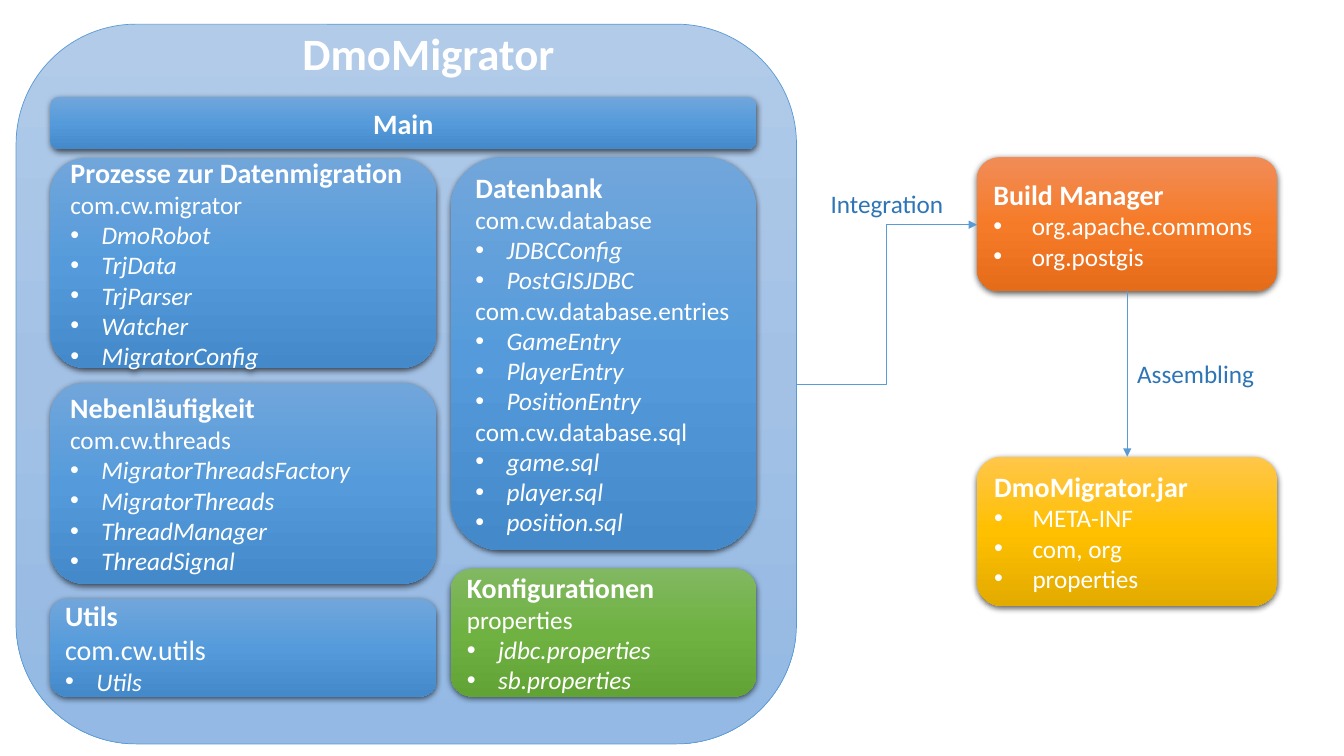
import copy

import lxml.etree
import pptx
import pptx.dml.color
import pptx.enum.shapes
import pptx.enum.text
import pptx.oxml
import pptx.oxml.ns
import pptx.util

Inches = pptx.util.Inches
Pt = pptx.util.Pt
SHAPE = pptx.enum.shapes.MSO_SHAPE
CONNECTOR = pptx.enum.shapes.MSO_CONNECTOR
ALIGN = pptx.enum.text.PP_ALIGN
ANCHOR = pptx.enum.text.MSO_ANCHOR
qn = pptx.oxml.ns.qn

COLORS = {"white": "FFFFFF", "line": "5B9BD5", "label": "2E75B6", "shadow": "000000"}
GRADIENTS = {
    "container": ("B1CBE9", "A3C1E5", "93B9E4"),
    "blue": ("71A6DB", "559BDB", "448ACA"),
    "green": ("81B861", "6FB242", "62A336"),
    "orange": ("F18C57", "F67B28", "E56C19"),
    "yellow": ("FFC64B", "FFC000", "E3AB00"),
}
SHADOW_XML = (
    '<a:outerShdw xmlns:a="http://schemas.openxmlformats.org/drawingml/2006/main" '
    'blurRad="57150" dist="19050" dir="5400000" algn="ctr" rotWithShape="0">'
    f'<a:srgbClr val="{COLORS["shadow"]}"><a:alpha val="63000"/></a:srgbClr></a:outerShdw>'
)


def add_text(shape, text, size=18, color="white", bold=False, italic=False,
             align=ALIGN.LEFT, indent=0):
    """Append a paragraph to a shape; a nonzero indent makes it a bullet."""
    frame = shape.text_frame
    paragraph = frame.add_paragraph() if frame.text else frame.paragraphs[0]
    paragraph.alignment = align
    run = paragraph.add_run()
    run.text = text
    run.font.name = "Calibri"
    run.font.size = Pt(size)
    run.font.bold = bold
    run.font.italic = italic
    run.font.color.rgb = pptx.dml.color.RGBColor.from_string(COLORS[color])
    if indent:
        properties = paragraph._p.get_or_add_pPr()
        properties.set("marL", str(Inches(indent)))
        properties.set("indent", str(-Inches(indent)))
        lxml.etree.SubElement(properties, qn("a:buFont")).set("typeface", "Arial")
        lxml.etree.SubElement(properties, qn("a:buChar")).set("char", "•")


def add_box(bounds, gradient):
    """Add a rounded box with a vertical three-stop gradient and no outline."""
    box = slide.shapes.add_shape(SHAPE.ROUNDED_RECTANGLE, *map(Inches, bounds))
    box.shadow.inherit = False
    box.line.fill.background()
    box.fill.gradient()
    box.fill.gradient_angle = 270
    stop_list = box._element.spPr.find(".//" + qn("a:gsLst"))
    stop_list.append(copy.deepcopy(stop_list[0]))
    for index, stop in enumerate(box.fill.gradient_stops):
        stop.position = index / 2
        stop.color.rgb = pptx.dml.color.RGBColor.from_string(GRADIENTS[gradient][index])
    box.text_frame.word_wrap = True
    box.text_frame.vertical_anchor = ANCHOR.MIDDLE
    return box


presentation = pptx.Presentation()
presentation.slide_width = Inches(13.33)
presentation.slide_height = Inches(7.5)
slide = presentation.slides.add_slide(presentation.slide_layouts[6])
line_color = pptx.dml.color.RGBColor.from_string(COLORS["line"])

container = add_box((0.16, 0.24, 7.74, 7.14), "container")
container.line.color.rgb = line_color
container.line.width = Pt(0.5)

# Each module: bounds, gradient, heading, package size, packages with their entries
modules = [
    ((0.5, 1.57, 3.83, 2.08), "blue", "Prozesse zur Datenmigration", 18, {
        "com.cw.migrator": ["DmoRobot", "TrjData", "TrjParser", "Watcher", "MigratorConfig"]}),
    ((4.47, 1.56, 3.03, 3.9), "blue", "Datenbank", 18, {
        "com.cw.database": ["JDBCConfig", "PostGISJDBC"],
        "com.cw.database.entries": ["GameEntry", "PlayerEntry", "PositionEntry"],
        "com.cw.database.sql": ["game.sql", "player.sql", "position.sql"]}),
    ((0.5, 3.8, 3.83, 1.99), "blue", "Nebenläufigkeit", 18, {
        "com.cw.threads": ["MigratorThreadsFactory", "MigratorThreads",
                           "ThreadManager", "ThreadSignal"]}),
    ((0.5, 5.94, 3.83, 0.97), "blue", "Utils", 20, {"com.cw.utils": ["Utils"]}),
    ((4.47, 5.64, 3.03, 1.27), "green", "Konfigurationen", 18, {
        "properties": ["jdbc.properties", "sb.properties"]}),
    ((0.5, 0.96, 7, 0.52), "blue", "Main", 18, {}),
    ((9.69, 1.56, 2.98, 1.33), "orange", "Build Manager", 18, {
        "": ["org.apache.commons", "org.postgis"]}),
    ((9.69, 4.53, 2.98, 1.48), "yellow", "DmoMigrator.jar", 18, {
        "": ["META-INF", "com, org", "properties"]}),
]
for bounds, gradient, heading, package_size, packages in modules:
    module = add_box(bounds, gradient)
    module._element.spPr.find(qn("a:effectLst")).append(pptx.oxml.parse_xml(SHADOW_XML))
    add_text(module, heading, size=20, bold=True,
             align=ALIGN.LEFT if packages else ALIGN.CENTER)
    for package, entries in packages.items():
        if package:
            add_text(module, package, size=package_size)
        for entry in entries:
            add_text(module, entry, italic=bool(package), indent=0.31 if package else 0.38)

arrows = [
    (CONNECTOR.ELBOW, (7.9, 3.81, 9.69, 2.23)),
    (CONNECTOR.STRAIGHT, (11.18, 2.89, 11.18, 4.53)),
]
for kind, ends in arrows:
    arrow = slide.shapes.add_connector(kind, *map(Inches, ends))
    arrow.line.color.rgb = line_color
    arrow.line.width = Pt(0.5)
    lxml.etree.SubElement(arrow.line._get_or_add_ln(), qn("a:tailEnd")).set("type", "triangle")
    lxml.etree.SubElement(arrow._element.spPr, qn("a:effectLst"))

captions = [
    ("DmoMigrator", (2.9, 0.21, 2.71, 0.94), True, {"size": 32, "bold": True}),
    ("Assembling", (11.18, 3.51, 1.37, 0.4), False, {"color": "label"}),
    ("Integration", (8.14, 1.82, 1.33, 0.4), False, {"color": "label"}),
]
for text, bounds, wrap, text_format in captions:
    caption = slide.shapes.add_textbox(*map(Inches, bounds))
    caption.text_frame.word_wrap = wrap
    add_text(caption, text, **text_format)

presentation.save("out.pptx")
